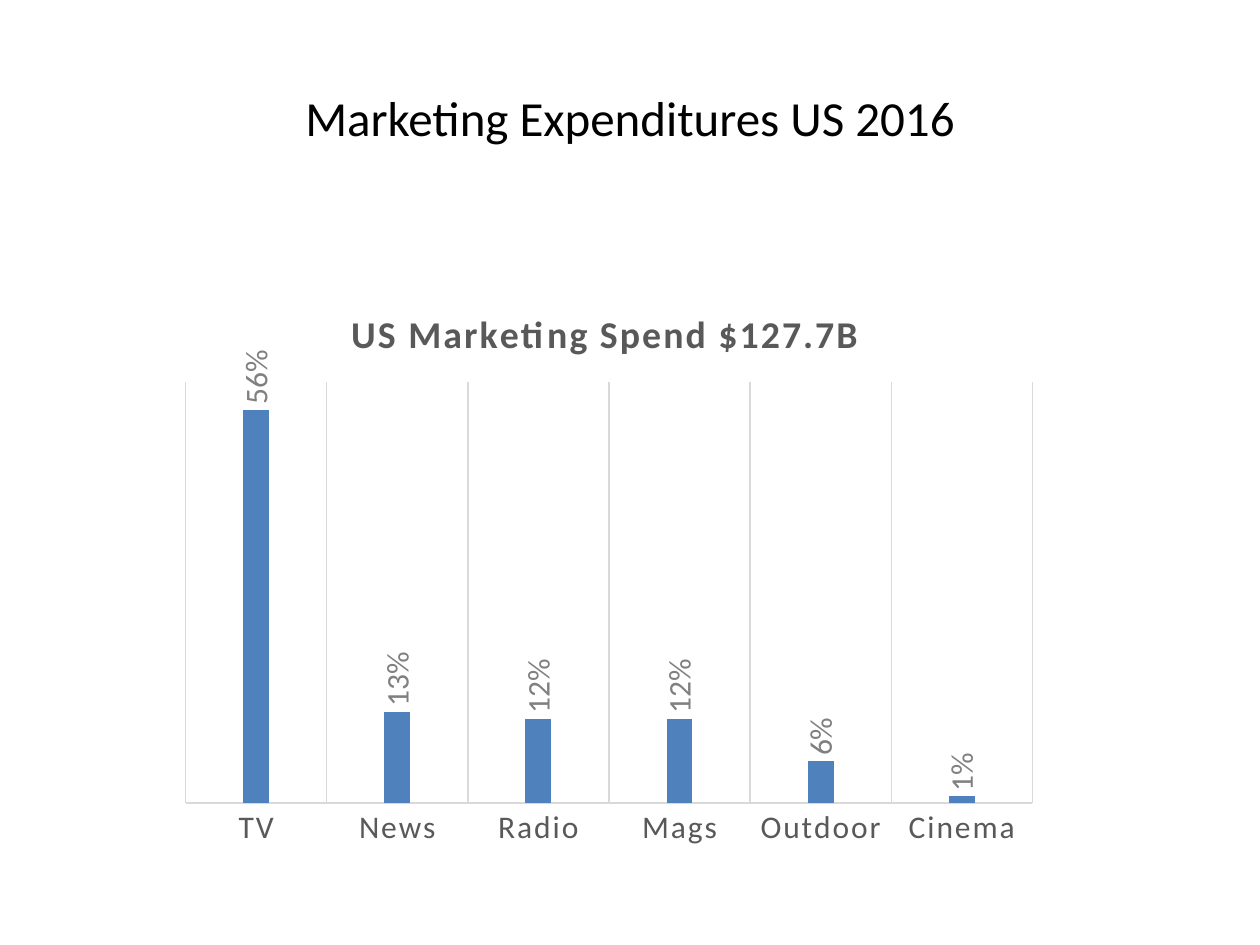
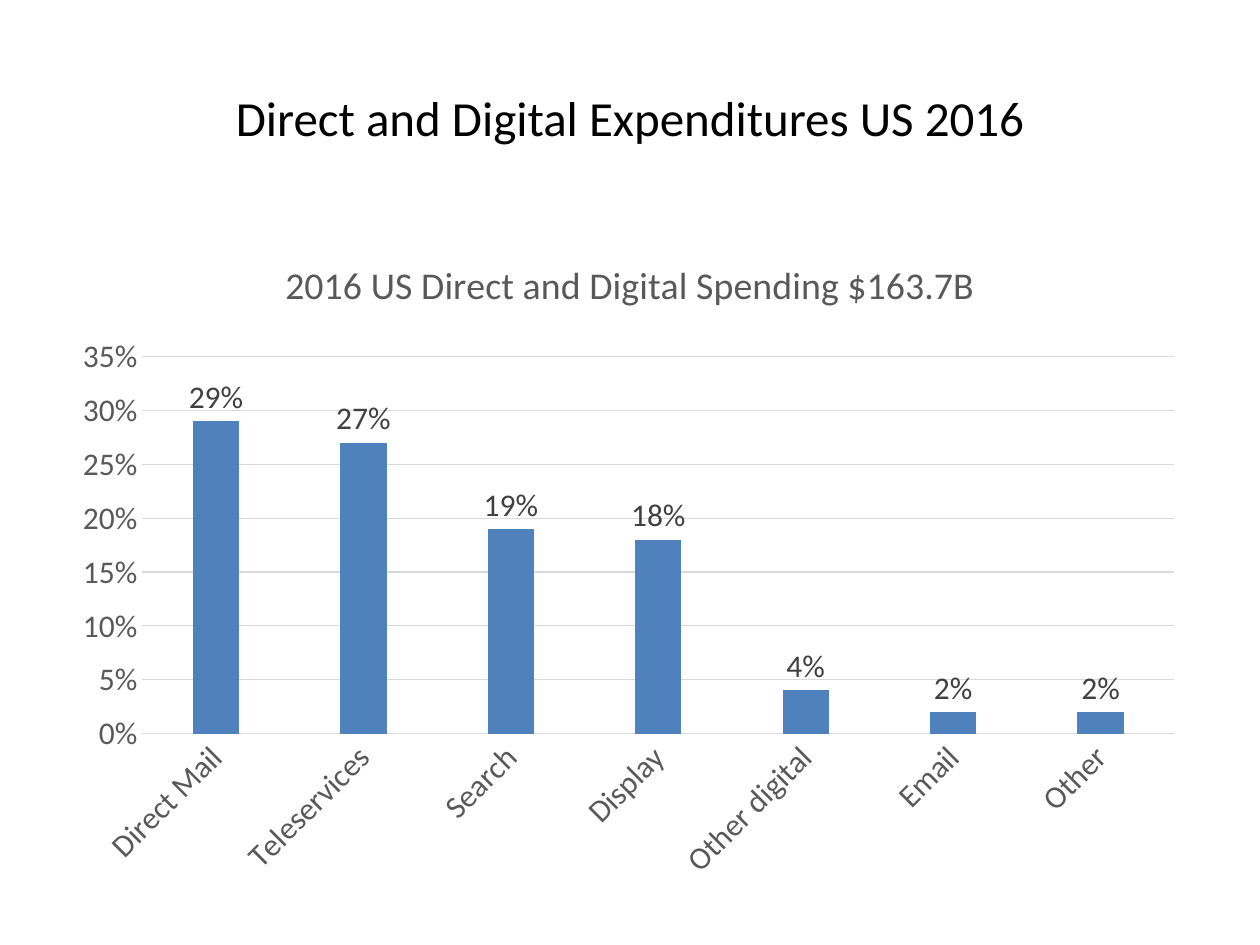
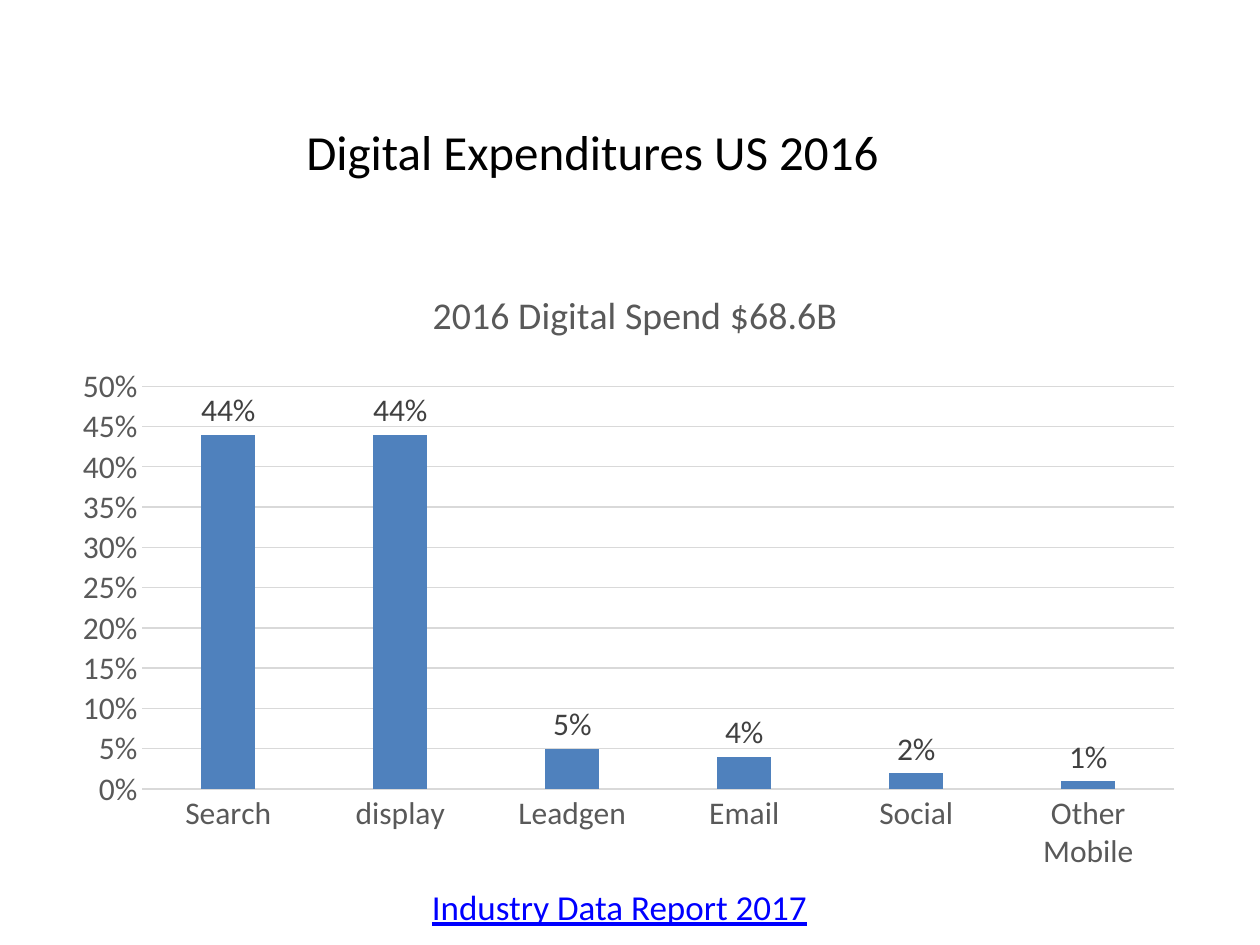
from lxml import etree
from pptx import Presentation
from pptx import util as u
from pptx.chart import data
from pptx.dml import color
from pptx.enum import chart as charts
from pptx.enum import text
from pptx.oxml import ns

COLORS = {
    "ink": "000000",
    "bar": "4F81BD",
    "axis": "595959",
    "rule": "D9D9D9",
    "label": "404040",
    "pale label": "808080",
    "link": "0000FF",
}
FONT = "Calibri"
COLUMNS, ROWS = 120, 90
TITLE_TOP, TITLE_HEIGHT = 7.7, 6.8
WIDE_PLOT = {"x": 0.07, "w": 0.91}


def rgb(name):
    return color.RGBColor.from_string(COLORS[name])


def format_font(font, size=18, ink="ink", bold=False, underline=False):
    font.name = FONT
    font.size = u.Pt(size)
    font.bold = bold
    font.underline = underline
    font.color.rgb = rgb(ink)


def write(frame, words, align=text.PP_ALIGN.CENTER, **style):
    para = frame.paragraphs[0]
    para.alignment = align
    span = para.add_run()
    span.text = words
    format_font(span.font, **style)


def set_layout(parent, index, **shares):
    for old in parent.findall(ns.qn("c:layout")):
        parent.remove(old)
    layout = etree.Element(ns.qn("c:layout"))
    manual = etree.SubElement(layout, ns.qn("c:manualLayout"))
    settings = {"xMode": "edge", "yMode": "edge", **shares}
    if "w" in shares:
        settings = {"layoutTarget": "inner", **settings}
    for tag, value in settings.items():
        etree.SubElement(manual, ns.qn(f"c:{tag}")).set("val", str(value))
    parent.insert(index, layout)


def draw_rule(line):
    line.color.rgb = rgb("rule")
    line.width = u.Pt(0.75)


class Deck:
    def __init__(self):
        self.deck = Presentation()
        self.deck.slide_width = u.Inches(10)
        self.deck.slide_height = u.Inches(7.5)
        self.page = None

    def cell(self, left, top, width, height):
        across = self.deck.slide_width / COLUMNS
        down = self.deck.slide_height / ROWS
        return [round(n) for n in (left * across, top * down, width * across, height * down)]

    def add_page(self):
        self.page = self.deck.slides.add_slide(self.deck.slide_layouts.get_by_name("Title Only"))

    def title(self, words, width, left=None, top=TITLE_TOP, height=TITLE_HEIGHT,
              wrap=False, size=28, **style):
        box = self.page.shapes.title
        left = (COLUMNS - width) / 2 if left is None else left
        box.left, box.top, box.width, box.height = self.cell(left, top, width, height)
        frame = box.text_frame
        frame.word_wrap = wrap
        frame.auto_size = text.MSO_AUTO_SIZE.NONE
        frame.vertical_anchor = text.MSO_ANCHOR.MIDDLE
        write(frame, words, size=size, **style)

    def heading(self, words, *place):
        frame = self.page.shapes.add_textbox(*self.cell(*place)).text_frame
        frame.word_wrap = False
        write(frame, words, align=text.PP_ALIGN.LEFT, size=28)

    def columns(self, place, caption, caption_left, shares, peak, plot_shares,
                gap=219, overlap=-27, label="label", upright=False, tilt=None):
        values = data.CategoryChartData(number_format="0%")
        values.categories = list(shares)
        values.add_series("Series 1", list(shares.values()))
        chart = self.page.shapes.add_chart(
            charts.XL_CHART_TYPE.COLUMN_CLUSTERED, *self.cell(*place), values).chart
        format_font(chart.font)
        chart.has_legend = False

        chart.has_title = True
        write(chart.chart_title.text_frame, caption, size=21.6, ink="axis", bold=upright)
        chart.chart_title.include_in_layout = False
        set_layout(chart.element.xpath("c:chart/c:title")[0], 1, x=caption_left, y=0.03)
        set_layout(chart.element.xpath("c:chart/c:plotArea")[0], 0, **plot_shares)

        plot = chart.plots[0]
        plot.gap_width, plot.overlap = gap, overlap
        plot.vary_by_categories = False
        fill = plot.series[0].format.fill
        fill.solid()
        fill.fore_color.rgb = rgb("bar")
        plot.has_data_labels = True
        labels = plot.data_labels
        labels.show_value = True
        labels.position = charts.XL_LABEL_POSITION.OUTSIDE_END
        labels.number_format, labels.number_format_is_linked = "0%", False
        format_font(labels.font, ink=label)

        for axis in (chart.category_axis, chart.value_axis):
            axis.major_tick_mark = axis.minor_tick_mark = charts.XL_TICK_MARK.NONE
            format_font(axis.tick_labels.font, ink="axis")
        draw_rule(chart.category_axis.format.line)
        scale = chart.value_axis
        scale.minimum_scale, scale.maximum_scale, scale.major_unit = 0, peak, 0.05
        scale.tick_labels.number_format = "0%"
        scale.tick_labels.number_format_is_linked = False
        scale.format.line.fill.background()
        scale.visible = not upright
        scale.has_major_gridlines = not upright
        chart.category_axis.has_major_gridlines = upright
        ruled = chart.category_axis if upright else scale
        draw_rule(ruled.major_gridlines.format.line)

        if upright:
            for body in chart.element.xpath("//c:dLbls/c:txPr/a:bodyPr"):
                body.set("rot", "-5400000")
                body.set("vert", "horz")
            for span in chart.element.xpath("//c:title//a:rPr | //c:catAx/c:txPr//a:defRPr"):
                span.set("spc", "110")
        if tilt:
            body = chart.element.xpath("//c:catAx/c:txPr/a:bodyPr")[0]
            body.set("rot", str(tilt * 60000))
            body.set("vert", "horz")


def main():
    show = Deck()

    show.add_page()
    show.title("Marketing Expenditures US 2016", 65)
    show.columns(
        (16, 27, 84, 55), "US Marketing Spend $127.7B", 0.2,
        {"TV": 0.56, "News": 0.13, "Radio": 0.12, "Mags": 0.12, "Outdoor": 0.06, "Cinema": 0.01},
        0.6, {"x": 0.02, "y": 0.17, "w": 0.96, "h": 0.73},
        gap=444, overlap=-90, label="pale label", upright=True)

    show.add_page()
    show.title("Direct and Digital Expenditures US 2016", 78.4)
    show.columns(
        (6, 22, 108, 63), "2016 US Direct and Digital Spending $163.7B", 0.19,
        {"Direct Mail": 0.29, "Teleservices": 0.27, "Search": 0.19, "Display": 0.18,
         "Other digital": 0.04, "Email": 0.02, "Other": 0.02},
        0.35, {**WIDE_PLOT, "y": 0.19, "h": 0.57}, tilt=-45)

    show.add_page()
    show.title("Industry Data Report 2017", 100, left=9, top=85, height=2.67,
               wrap=True, size=20, ink="link", underline=True)
    show.columns(
        (6, 25, 108, 59), "2016 Digital Spend $68.6B", 0.32,
        {"Search": 0.44, "display": 0.44, "Leadgen": 0.05, "Email": 0.04,
         "Social": 0.02, "Other Mobile": 0.01},
        0.5, {**WIDE_PLOT, "y": 0.2, "h": 0.65})
    show.heading("Digital Expenditures US 2016", 28, 11, 57.6, TITLE_HEIGHT)

    show.deck.save("out.pptx")


if __name__ == "__main__":
    main()
